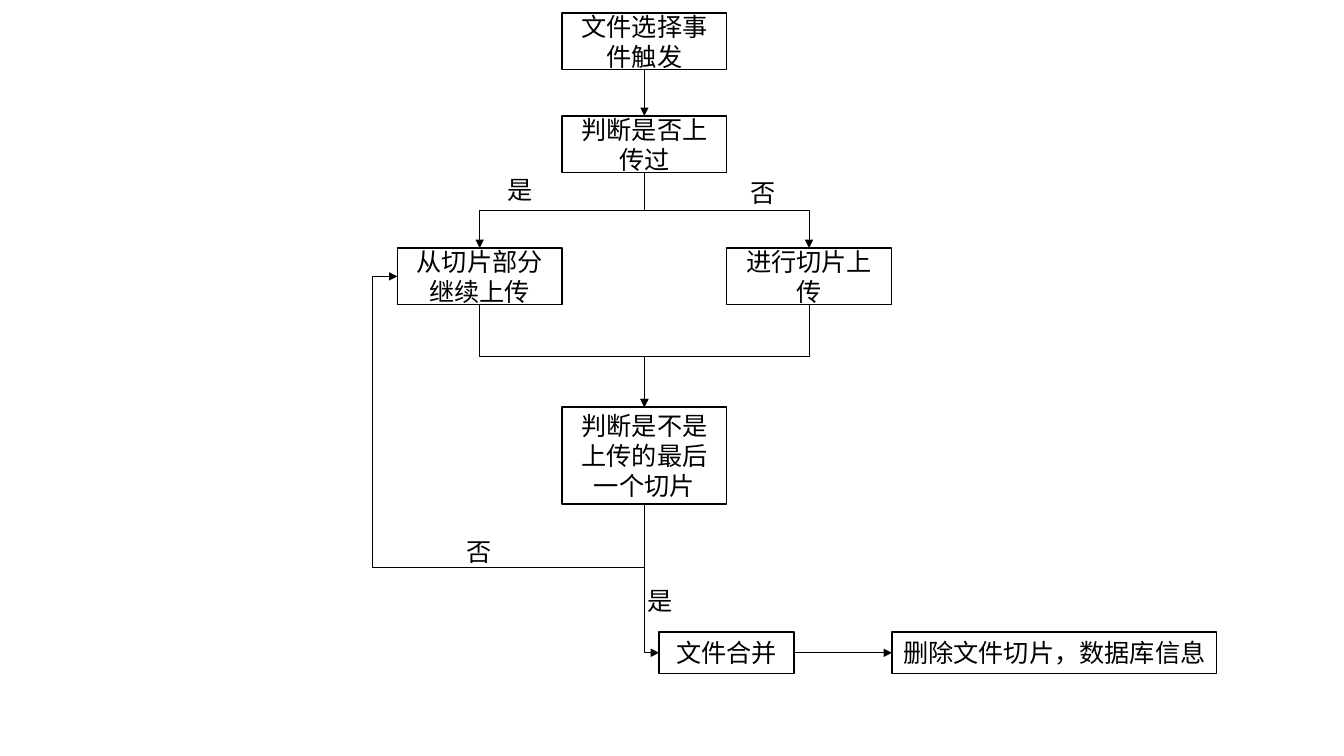
from dataclasses import dataclass

from pptx import Presentation
from pptx.dml.color import RGBColor
from pptx.enum.shapes import MSO_CONNECTOR as CONN, MSO_SHAPE as SHAPE
from pptx.enum.text import MSO_ANCHOR as ANCHOR, MSO_AUTO_SIZE as AUTO, PP_ALIGN as ALIGN
from pptx.oxml.ns import qn
from pptx.util import Cm, Pt
from lxml.etree import SubElement


@dataclass(frozen=True)
class Theme:
    """Colours, type and line sizes of the flowchart."""
    ink: RGBColor = RGBColor(0, 0, 0)
    paper: RGBColor = RGBColor(255, 255, 255)
    font: str = "Calibri"
    text: Pt = Pt(18)
    border: Pt = Pt(1)
    arrow: Pt = Pt(0.5)


THEME = Theme()
TOP, LEFT, BOTTOM, RIGHT = range(4)
STEP_W, STEP_H = 4.15, 1.43
END_H = 1.04
MIDDLE = 16.24
YES_COL, NO_COL = MIDDLE - STEP_W, MIDDLE + STEP_W


def put_text(tf, text, align=ALIGN.LEFT, anchor=ANCHOR.TOP, wrap=True):
    """Write one formatted run into a text frame."""
    tf.word_wrap = wrap
    tf.vertical_anchor = anchor
    p = tf.paragraphs[0]
    p.alignment = align
    r = p.add_run()
    r.text = text
    r.font.name = THEME.font
    r.font.size = THEME.text
    r.font.color.rgb = THEME.ink


def add_step(s, text, center, top, width=STEP_W, height=STEP_H):
    """Draw a process box centred on a column and return it."""
    sp = s.shapes.add_shape(SHAPE.RECTANGLE, Cm(center - width / 2), Cm(top),
                            Cm(width), Cm(height))
    sp.shadow.inherit = False
    sp.fill.solid()
    sp.fill.fore_color.rgb = THEME.paper
    sp.line.color.rgb = THEME.ink
    sp.line.width = THEME.border
    put_text(sp.text_frame, text, align=ALIGN.CENTER, anchor=ANCHOR.MIDDLE)
    return sp


def add_label(s, text, left, top):
    """Place a branch label."""
    sp = s.shapes.add_textbox(Cm(left), Cm(top), Cm(1.14), Cm(1.02))
    put_text(sp.text_frame, text, wrap=False)
    sp.text_frame.auto_size = AUTO.SHAPE_TO_FIT_TEXT


def add_arrow(s, source, source_site, target, target_site, kind=CONN.STRAIGHT):
    """Glue an arrow between two boxes and return it."""
    c = s.shapes.add_connector(kind, 0, 0, 0, 0)
    c.begin_connect(source, source_site)
    c.end_connect(target, target_site)
    c.line.color.rgb = THEME.ink
    c.line.width = THEME.arrow
    SubElement(c.line._get_or_add_ln(), qn("a:tailEnd"), type="triangle")
    SubElement(c.element.spPr, qn("a:effectLst"))
    return c


def add_elbow(s, source, target, target_site=TOP, bends=3, adjust=(50000,)):
    """Draw a bent arrow that leaves the bottom of its source vertically."""
    c = add_arrow(s, source, BOTTOM, target, target_site, CONN.ELBOW)
    dx, dy = c.end_x - c.begin_x, c.end_y - c.begin_y
    mid_x, mid_y = (c.begin_x + c.end_x) // 2, (c.begin_y + c.end_y) // 2
    c.width, c.height = abs(dy), abs(dx)
    c.left, c.top = mid_x - c.width // 2, mid_y - c.height // 2

    xfrm = c.element.spPr.xfrm
    xfrm.rot = 270 if dx > 0 else 90
    xfrm.flipH = (dx > 0) != (dy < 0)
    xfrm.flipV = False

    geom = c.element.spPr.find(qn("a:prstGeom"))
    geom.set("prst", f"bentConnector{bends}")
    guides = geom.find(qn("a:avLst"))
    for i, value in enumerate(adjust, 1):
        SubElement(guides, qn("a:gd"), name=f"adj{i}", fmla=f"val {value}")


def main():
    """Build the sliced-upload flowchart."""
    prs = Presentation()
    prs.slide_width, prs.slide_height = Cm(33.87), Cm(19.05)
    s = prs.slides.add_slide(prs.slide_layouts[6])

    trigger = add_step(s, "文件选择事件触发", MIDDLE, 0.33)
    uploaded = add_step(s, "判断是否上传过", MIDDLE, 2.92)
    resume = add_step(s, "从切片部分继续上传", YES_COL, 6.25)
    upload = add_step(s, "进行切片上传", NO_COL, 6.25)
    last = add_step(s, "判断是不是上传的最后一个切片", MIDDLE, 10.26, height=2.44)
    merge = add_step(s, "文件合并", 18.31, 15.93, 3.4, END_H)
    delete = add_step(s, "删除文件切片，数据库信息", 26.57, 15.93, 8.18, END_H)

    add_arrow(s, trigger, BOTTOM, uploaded, TOP)
    for branch in (resume, upload):
        add_elbow(s, uploaded, branch)
        add_elbow(s, branch, last)
    add_elbow(s, last, resume, LEFT, bends=4, adjust=(-27700, 110200))
    add_elbow(s, last, merge, LEFT, bends=2, adjust=())
    add_arrow(s, merge, RIGHT, delete, LEFT)

    for text, left, top in (("是", 12.55, 4.27), ("否", 18.67, 4.34),
                            ("否", 11.51, 13.39), ("是", 16.08, 14.63)):
        add_label(s, text, left, top)

    prs.save("out.pptx")


main()
